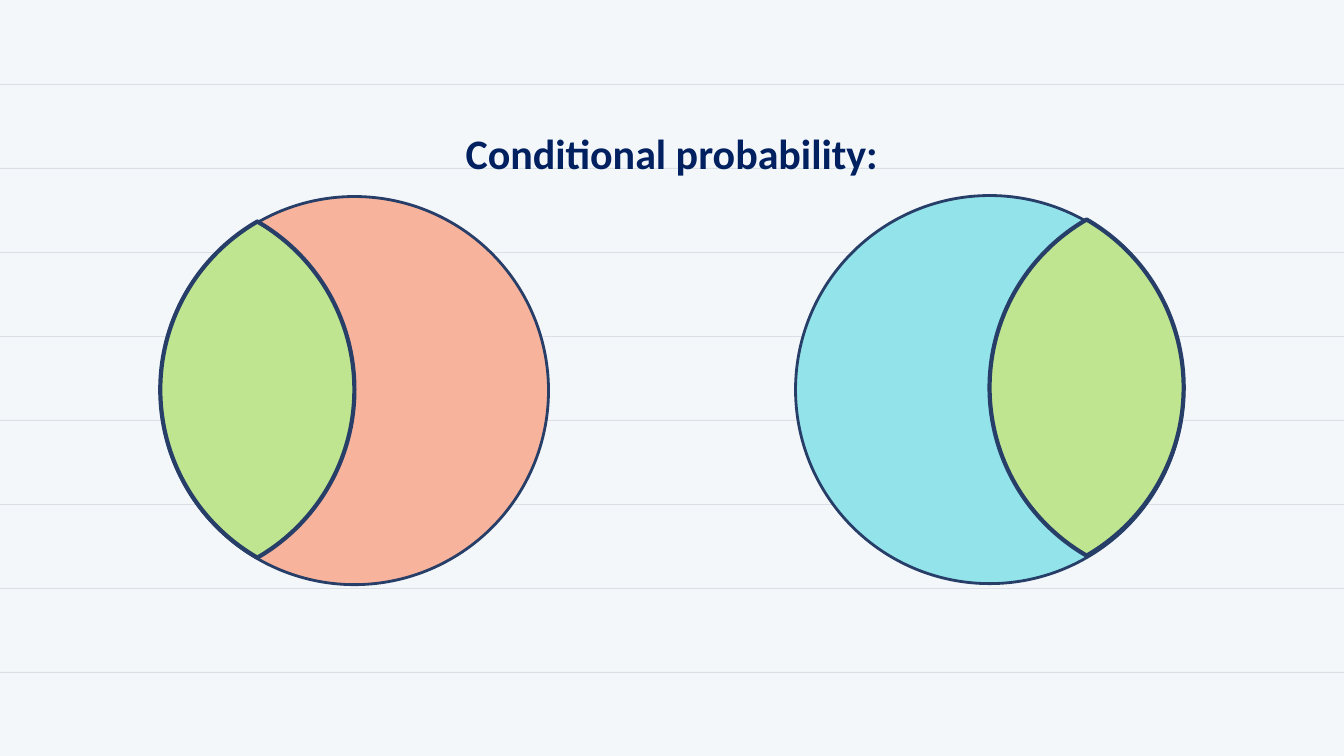
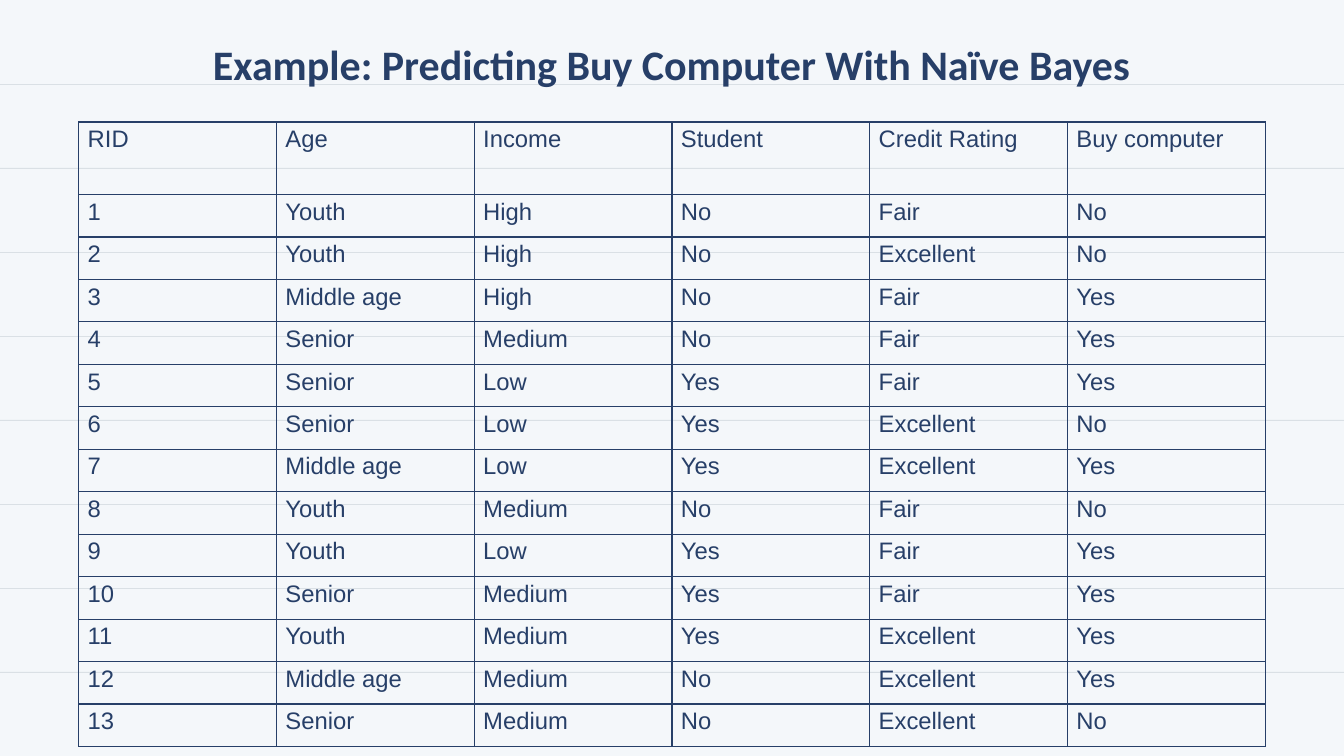
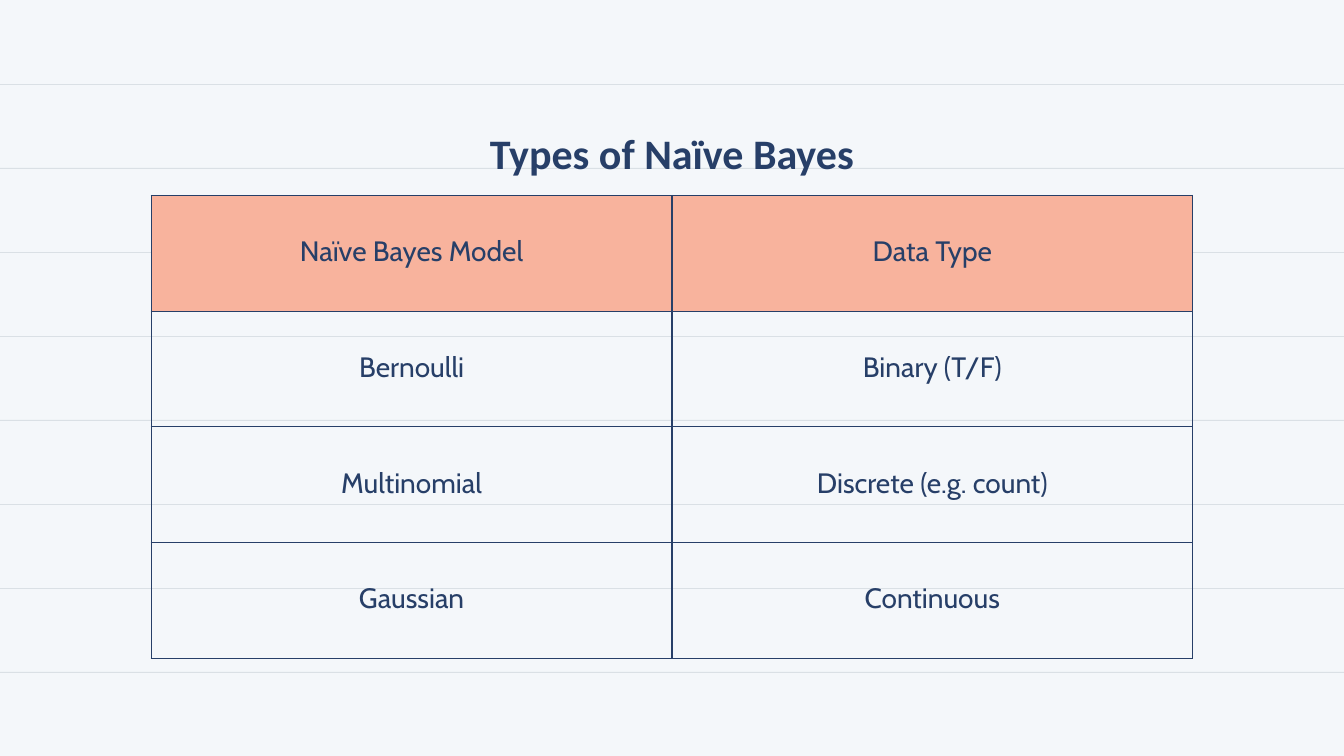
from math import cos, pi, sin, tan

from lxml import etree
from pptx import Presentation
from pptx.dml.color import RGBColor
from pptx.enum.shapes import MSO_SHAPE
from pptx.enum.text import MSO_ANCHOR, PP_ALIGN
from pptx.oxml.ns import qn
from pptx.util import Inches, Pt

RECT, OVAL = MSO_SHAPE.RECTANGLE, MSO_SHAPE.OVAL
CENTER, LEFT = PP_ALIGN.CENTER, PP_ALIGN.LEFT
BOTTOM = MSO_ANCHOR.BOTTOM

# Shared look
WIDTH, HEIGHT = 13.33, 7.5
PAPER, RULE, INK, NAVY = "F4F7FA", "30485C", "273F68", "002060"
CORAL, AQUA, LIME = "F8B39D", "93E3EB", "BFE590"

# Content
VENN_TITLE = "Conditional probability:"
RADIUS = 1.925
DISCS = [  # left, top, fill, lens centre in radii from the left, lens lift
    (1.59, 1.95, CORAL, 0.5, 0.01),
    (7.89, 1.94, AQUA, 1.5, 0.02),
]

DATA_TITLE = "Example: Predicting Buy Computer With Naïve Bayes"
DATA = [
    ("RID", "Age", "Income", "Student", "Credit Rating", "Buy computer"),
    ("1", "Youth", "High", "No", "Fair", "No"),
    ("2", "Youth", "High", "No", "Excellent", "No"),
    ("3", "Middle age", "High", "No", "Fair", "Yes"),
    ("4", "Senior", "Medium", "No", "Fair", "Yes"),
    ("5", "Senior", "Low", "Yes", "Fair", "Yes"),
    ("6", "Senior", "Low", "Yes", "Excellent", "No"),
    ("7", "Middle age", "Low", "Yes", "Excellent", "Yes"),
    ("8", "Youth", "Medium", "No", "Fair", "No"),
    ("9", "Youth", "Low", "Yes", "Fair", "Yes"),
    ("10", "Senior", "Medium", "Yes", "Fair", "Yes"),
    ("11", "Youth", "Medium", "Yes", "Excellent", "Yes"),
    ("12", "Middle age", "Medium", "No", "Excellent", "Yes"),
    ("13", "Senior", "Medium", "No", "Excellent", "No"),
]

TYPES_TITLE = "Types of Naïve Bayes"
TYPES = [
    ("Naïve Bayes Model", "Data Type"),
    ("Bernoulli", "Binary (T/F)"),
    ("Multinomial", "Discrete (e.g. count)"),
    ("Gaussian", "Continuous"),
]


def rgb(code):
    return RGBColor.from_string(code)


def paint(shape, fill, weight=None):
    shape.shadow.inherit = False
    shape.fill.solid()
    shape.fill.fore_color.rgb = rgb(fill)
    if weight:
        shape.line.color.rgb = rgb(INK)
        shape.line.width = Pt(weight)
    else:
        shape.line.fill.background()


def style(para, face, size, color, align, spacing, bold=False):
    para.alignment, para.line_spacing = align, spacing
    font = para.font
    font.name, font.size, font.bold = face, Pt(size), bold
    font.color.rgb = rgb(color)


def rule_paper(deck, page):
    """Colour the master and move eight faint rules from a page onto it."""
    master = deck.slide_master
    back = master.background.fill
    back.solid()
    back.fore_color.rgb = rgb(PAPER)
    for step in range(1, 9):
        rule = page.shapes.add_shape(RECT, 0, Inches(step * 5 / 6),
                                     Inches(WIDTH), Inches(0.01))
        paint(rule, RULE)
        tint = rule._element.spPr.find(".//" + qn("a:srgbClr"))
        etree.SubElement(tint, qn("a:alpha"), val="13000")
        master.shapes._spTree.append(rule._element)


def add_page(deck, title, top=0.97, color=INK):
    """Add a slide with its title."""
    page = deck.slides.add_slide(deck.slide_layouts[6])
    box = page.shapes.add_textbox(Inches(1.5), Inches(top), Inches(10.33), Inches(0.8))
    frame = box.text_frame
    frame.word_wrap, frame.vertical_anchor = True, BOTTOM
    frame.margin_left = frame.margin_right = 0
    frame.margin_top = frame.margin_bottom = 0
    frame.text = title
    style(frame.paragraphs[0], "Calibri", 30, color, CENTER, 0.9, True)
    return page


def add_lens(page, mid_x, mid_y):
    """Draw the overlap of two circles whose centres are one radius apart."""
    sweep = pi / 3
    pull = 4 / 3 * tan(sweep / 4)

    def spot(side, turn, reach):
        x = cos(turn) - reach * sin(turn) + side / 2
        y = sin(turn) + reach * cos(turn)
        return Inches(mid_x + RADIUS * x), Inches(mid_y + RADIUS * y)

    # Each arc is two curves: two handles and an end apiece
    points = [spot(-1, -sweep, 0)]
    for side, start in ((-1, -sweep), (1, 2 * sweep)):
        for turn in (start, start + sweep):
            points += [spot(side, turn, pull), spot(side, turn + sweep, -pull),
                       spot(side, turn + sweep, 0)]
    draft = page.shapes.build_freeform(*points[0])
    draft.add_line_segments(points[1:], close=True)
    lens = draft.convert_to_shape()
    lines = list(lens._element.iter(qn("a:lnTo")))
    for i in range(0, len(points) - 1, 3):
        curve = etree.Element(qn("a:cubicBezTo"))
        lines[i].addprevious(curve)
        for line in lines[i:i + 3]:
            curve.append(line[0])
            line.getparent().remove(line)
    paint(lens, LIME, 3)


def edge(cell):
    """Put a thin line on all four sides of a cell."""
    props = cell._tc.get_or_add_tcPr()
    for i, side in enumerate(("lnL", "lnR", "lnT", "lnB")):
        line = etree.Element(qn("a:" + side), w=str(Pt(1)))
        fill = etree.SubElement(line, qn("a:solidFill"))
        etree.SubElement(fill, qn("a:srgbClr"), val=INK)
        props.insert(i, line)


def add_grid(page, rows, box, face, size, align=LEFT, spacing=None,
             head=None, fill=None, pad=0.05):
    """Draw a table; head is the height of its first row."""
    left, top, width, height = box
    count, span = len(rows), len(rows[0])
    head = head or height / count
    grid = page.shapes.add_table(count, span, *map(Inches, box)).table
    grid.first_row = grid.horz_banding = False
    for col in grid.columns:
        col.width = Inches(width / span)
    for r, words in enumerate(rows):
        grid.rows[r].height = Inches((height - head) / (count - 1) if r else head)
        for c, word in enumerate(words):
            cell = grid.cell(r, c)
            cell.text = word
            cell.margin_top = cell.margin_bottom = Inches(pad)
            cell.margin_left = cell.margin_right = Inches(0.09)
            style(cell.text_frame.paragraphs[0], face, size, INK, align, spacing)
            if fill and r == 0:
                cell.fill.solid()
                cell.fill.fore_color.rgb = rgb(fill)
            else:
                cell.fill.background()
            edge(cell)


def main():
    deck = Presentation()
    deck.slide_width, deck.slide_height = Inches(WIDTH), Inches(HEIGHT)

    # Two discs with their overlaps
    page = add_page(deck, VENN_TITLE, color=NAVY)
    rule_paper(deck, page)
    for left, top, fill, shift, lift in DISCS:
        disc = page.shapes.add_shape(OVAL, Inches(left), Inches(top),
                                     Inches(2 * RADIUS), Inches(2 * RADIUS))
        paint(disc, fill, 2)
        add_lens(page, left + shift * RADIUS, top + RADIUS - lift)

    # Training data
    page = add_page(deck, DATA_TITLE, top=0.09)
    add_grid(page, DATA, (0.78, 1.21, 11.77, 6.2), "Arial", 17, head=0.72, pad=0.04)

    # Model types
    page = add_page(deck, TYPES_TITLE)
    add_grid(page, TYPES, (1.5, 1.94, 10.33, 4.59), "Cabin", 20,
             align=CENTER, spacing=2.0, fill=CORAL)

    deck.save("out.pptx")


if __name__ == "__main__":
    main()
